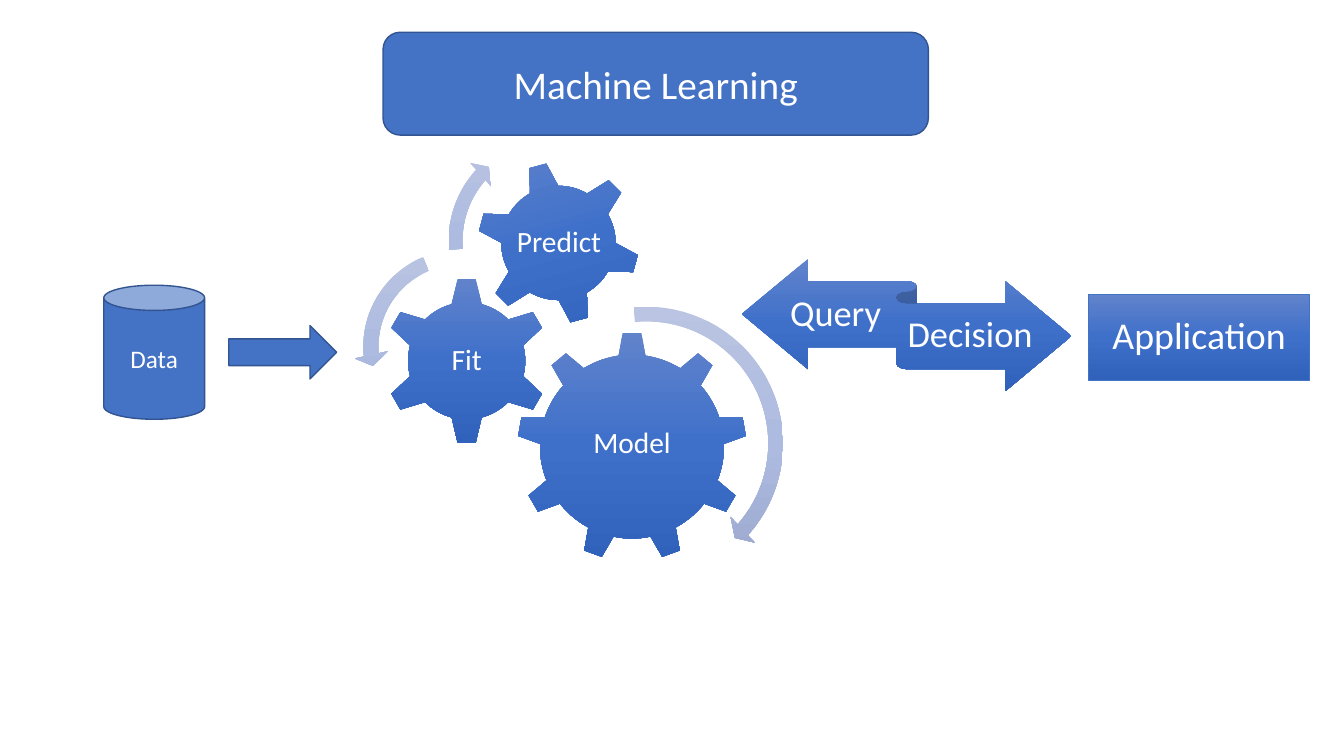
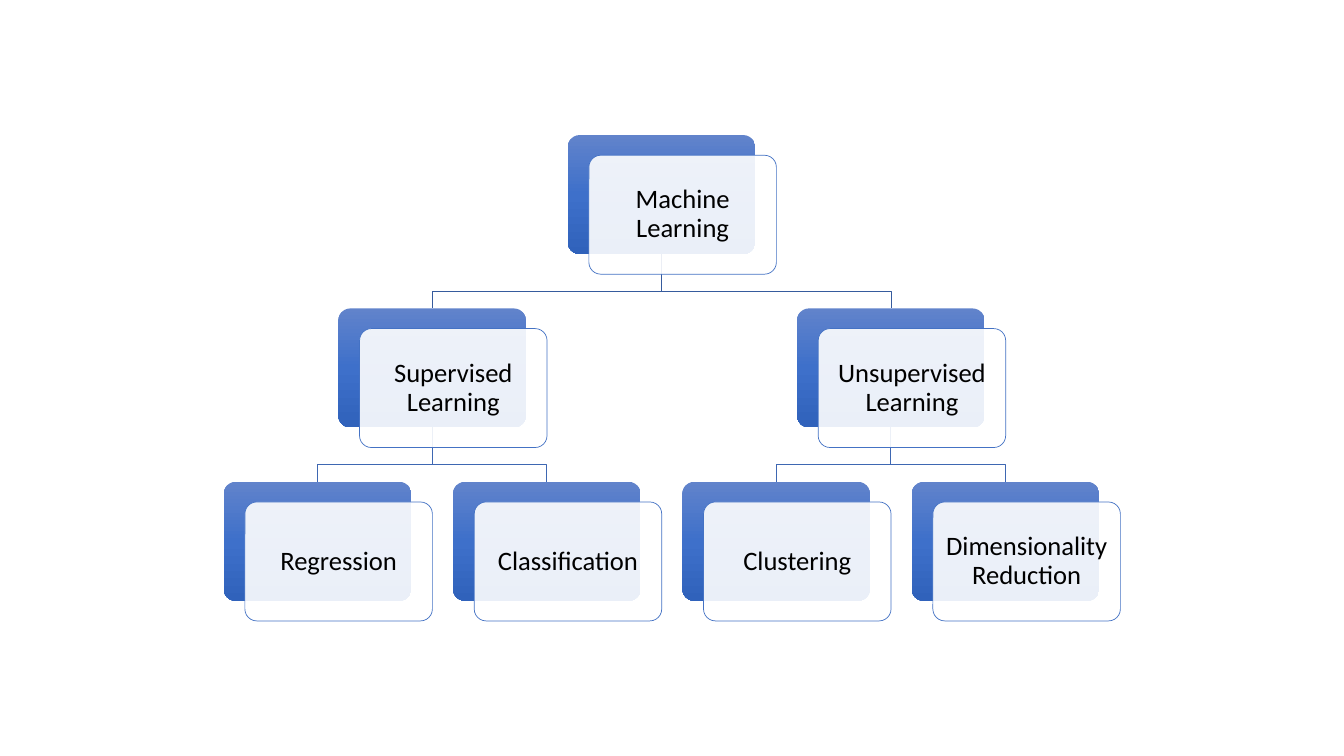
from copy import deepcopy

from lxml import etree
from pptx import Presentation
from pptx.dml.color import RGBColor
from pptx.enum.shapes import MSO_SHAPE
from pptx.enum.text import MSO_ANCHOR, PP_ALIGN
from pptx.oxml.ns import qn
from pptx.util import Inches, Pt

BLUE = RGBColor(0x44, 0x72, 0xC4)
OUTLINE = RGBColor(0x32, 0x54, 0x91)
WHITE = RGBColor(0xFF, 0xFF, 0xFF)
BLACK = RGBColor(0x00, 0x00, 0x00)
ROOT_LINK = RGBColor(0x36, 0x5B, 0x9D)
LEAF_LINK = RGBColor(0x3E, 0x67, 0xB2)
DEEP = [RGBColor(0x61, 0x83, 0xCB), RGBColor(0x3E, 0x70, 0xCA), RGBColor(0x30, 0x62, 0xBB)]
PALE = [RGBColor(0xBB, 0xC5, 0xE3), RGBColor(0xAE, 0xBB, 0xE0), RGBColor(0x98, 0xA4, 0xCB)]
FONT = "Calibri"


def add_block(slide, kind, box, fill, line=None, weight=1):
    """Preset shape with a solid fill, or a top-down gradient for a list of colours."""
    block = slide.shapes.add_shape(kind, *[Inches(length) for length in box])
    block.shadow.inherit = False
    if isinstance(fill, list):
        block.fill.gradient()
        block.fill.gradient_angle = 270
        first = block._element.spPr.find(".//" + qn("a:gs"))
        first.addnext(deepcopy(first))
        for index, (stop, color) in enumerate(zip(block.fill.gradient_stops, fill)):
            stop.color.rgb = color
            stop.position = index / 2
    else:
        block.fill.solid()
        block.fill.fore_color.rgb = fill
    if line is None:
        block.line.fill.background()
    else:
        block.line.color.rgb = line
        block.line.width = Pt(weight)
    return block


def write(holder, text, size, color=WHITE, inset=0, spacing=0.9):
    """Centred text in a shape or a text box."""
    frame = holder.text_frame
    frame.text = text
    frame.word_wrap = True
    frame.vertical_anchor = MSO_ANCHOR.MIDDLE
    frame.margin_left = frame.margin_right = Inches(inset)
    frame.margin_top = frame.margin_bottom = Inches(inset)
    paragraph = frame.paragraphs[0]
    paragraph.alignment = PP_ALIGN.CENTER
    paragraph.line_spacing = spacing
    font = paragraph.runs[0].font
    font.name, font.size, font.color.rgb = FONT, Pt(size), color


deck = Presentation()
deck.slide_width, deck.slide_height = Inches(13.333), Inches(7.5)
blank = deck.slide_layouts[6]

# Slide 1: from data to application
flow = deck.slides.add_slide(blank)

# Gears: kind, box, rotation
gears = [
    (MSO_SHAPE.GEAR_9, (5.13, 3.29, 2.28, 2.28), 0),
    (MSO_SHAPE.GEAR_6, (3.8, 2.75, 1.66, 1.66), 0),
    (MSO_SHAPE.GEAR_6, (4.73, 1.6, 1.62, 1.62), 345),
]
for kind, box, turn in gears:
    add_block(flow, kind, box, DEEP).rotation = turn

# Arrows turning around the gears
turns = [
    (MSO_SHAPE.CIRCULAR_ARROW, (4.95, 2.94, 2.92, 2.92), (0.05, 2.99, 25.06, 158.84, 0.06)),
    (MSO_SHAPE.LEFT_CIRCULAR_ARROW, (3.51, 2.38, 2.12, 2.12), (0.07, 4.3, 104.89, 148.38, 0.08)),
    (MSO_SHAPE.CIRCULAR_ARROW, (4.36, 1.25, 2.28, 2.28), (0.06, 3.94, 133.14, 105.08, 0.07)),
]
for kind, box, bends in turns:
    turn_arrow = add_block(flow, kind, box, PALE)
    for index, bend in enumerate(bends):
        turn_arrow.adjustments[index] = bend

# Data source, exchange ribbon, application and heading
data = add_block(flow, MSO_SHAPE.CAN, (1.03, 2.83, 1, 1.33), BLUE, OUTLINE)
write(data, "Data", 18, inset=0.05, spacing=1)
add_block(flow, MSO_SHAPE.RIGHT_ARROW, (2.27, 3.23, 1.07, 0.53), BLUE, OUTLINE)
add_block(flow, MSO_SHAPE.LEFT_RIGHT_RIBBON, (7.36, 2.57, 3.27, 1.31), DEEP)
application = add_block(flow, MSO_SHAPE.RECTANGLE, (10.8, 2.92, 2.19, 0.85), DEEP, BLUE, 0.5)
write(application, "Application", 27, inset=0.12)
heading = add_block(flow, MSO_SHAPE.ROUNDED_RECTANGLE, (3.8, 0.32, 5.41, 1.02), BLUE, OUTLINE)
write(heading, "Machine Learning", 28, inset=0.05, spacing=1)

# Labels on the gears and the ribbon
labels = [
    ("Model", 21, (5.59, 3.82, 1.36, 1.17)),
    ("Fit", 21, (4.22, 3.17, 0.82, 0.82)),
    ("Predict", 21, (5.09, 1.96, 0.91, 0.91)),
    ("Query", 26, (7.75, 2.8, 1.08, 0.64)),
    ("Decision", 26, (8.99, 3.01, 1.27, 0.64)),
]
for text, size, box in labels:
    label = flow.shapes.add_textbox(*[Inches(length) for length in box])
    write(label, text, size)

# Slide 2: tree of learning types
tree = deck.slides.add_slide(blank)
LEFT, TOP = 2.22, 1.34
COLUMN, ROW = 2.275, 1.72
CARD_W, CARD_H = 1.86, 1.18
SHIFT_X, SHIFT_Y = 0.21, 0.2
ELBOW = 0.37

# Cards: text, column, row, column of the parent
cards = [
    ("Machine Learning", 1.5, 0, None),
    ("Supervised Learning", 0.5, 1, 1.5),
    ("Regression", 0, 2, 0.5),
    ("Classification", 1, 2, 0.5),
    ("Unsupervised Learning", 2.5, 1, 1.5),
    ("Clustering", 2, 2, 2.5),
    ("Dimensionality Reduction", 3, 2, 2.5),
]

# Links from parent to child, behind the cards
for _, column, row, parent in cards:
    if parent is None:
        continue
    start_x, end_x = [Inches(LEFT + c * COLUMN + CARD_W / 2) for c in (parent, column)]
    end_y = Inches(TOP + row * ROW)
    start_y = end_y - Inches(ROW - CARD_H)
    bend_y = start_y + Inches(ELBOW)
    outline = tree.shapes.build_freeform(start_x, start_y)
    outline.add_line_segments([(start_x, bend_y), (end_x, bend_y), (end_x, end_y)], close=False)
    link = outline.convert_to_shape()
    link.shadow.inherit = False
    link.fill.background()
    link.line.color.rgb = ROOT_LINK if row == 1 else LEAF_LINK
    link.line.width = Pt(0.5)

# Each card: a blue back and a translucent front with the text
for text, column, row, _ in cards:
    x, y = LEFT + column * COLUMN, TOP + row * ROW
    back = add_block(tree, MSO_SHAPE.ROUNDED_RECTANGLE, (x, y, CARD_W, CARD_H), DEEP)
    front = add_block(tree, MSO_SHAPE.ROUNDED_RECTANGLE,
                      (x + SHIFT_X, y + SHIFT_Y, CARD_W, CARD_H), WHITE, BLUE, 0.5)
    back.adjustments[0] = front.adjustments[0] = 0.1
    tint = front._element.spPr.find(qn("a:solidFill")).find(qn("a:srgbClr"))
    etree.SubElement(tint, qn("a:alpha")).set("val", "90000")
    write(front, text, 19, BLACK, inset=0.07)

deck.save("out.pptx")
